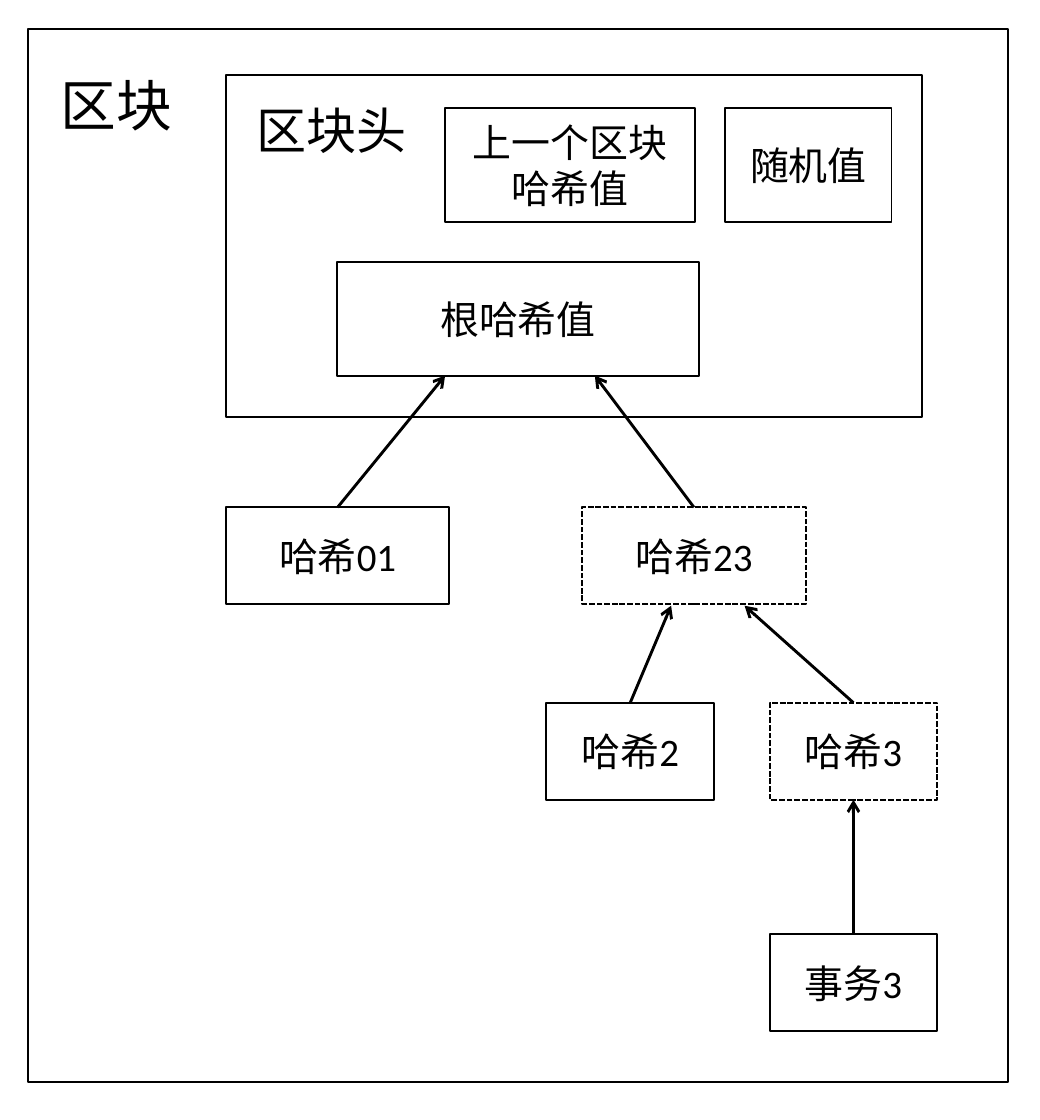
import pptx
import pptx.util
import pptx.dml.color
import pptx.enum.dml
import pptx.enum.shapes
import pptx.enum.text
import pptx.oxml.ns
from lxml import etree

# Square grid: one cell is a tenth of an inch
COLUMNS, ROWS = 75, 80.8
CELL = pptx.util.Inches(0.1)
COLORS = {"paper": "FFFFFF", "ink": "000000"}
FONT = "Calibri"
BOX_SIZE = 20.2
TOP, BOTTOM = 0, 2


def cells(count):
    return round(count * CELL)


def color(key):
    return pptx.dml.color.RGBColor.from_string(COLORS[key])


def apply_format(target, values):
    for attribute, value in values.items():
        setattr(target, attribute, value)


def add_box(slide, text, left, top, width, height, size=BOX_SIZE, dashed=False, label_inset=None):
    """Draw a box; label_inset (left, top) puts its text in the upper left corner."""
    box = slide.shapes.add_shape(
        pptx.enum.shapes.MSO_SHAPE.RECTANGLE,
        cells(left), cells(top), cells(width), cells(height))
    box.shadow.inherit = False
    box.fill.solid()
    box.fill.fore_color.rgb = color("paper")
    box.line.color.rgb = color("ink")
    box.line.width = pptx.util.Pt(1)
    if dashed:
        box.line.dash_style = pptx.enum.dml.MSO_LINE.SQUARE_DOT

    frame = box.text_frame
    frame_format = {"word_wrap": True, "vertical_anchor": pptx.enum.text.MSO_ANCHOR.MIDDLE}
    alignment = pptx.enum.text.PP_ALIGN.CENTER
    if label_inset:
        frame_format.update(
            vertical_anchor=pptx.enum.text.MSO_ANCHOR.TOP,
            margin_left=cells(label_inset[0]), margin_top=cells(label_inset[1]))
        alignment = pptx.enum.text.PP_ALIGN.LEFT
    apply_format(frame, frame_format)

    paragraph = frame.paragraphs[0]
    paragraph.alignment = alignment
    run = paragraph.add_run()
    run.text = text
    apply_format(run.font, {"name": FONT, "size": pptx.util.Pt(size)})
    run.font.color.rgb = color("ink")
    return box


def add_arrow(slide, child, end=None, parent=None):
    """Point from the top of child to a grid position or to the bottom of parent."""
    column, row = end or (0, 0)
    arrow = slide.shapes.add_connector(
        pptx.enum.shapes.MSO_CONNECTOR.STRAIGHT,
        child.left, child.top, cells(column), cells(row))
    arrow.begin_connect(child, TOP)
    if parent is not None:
        arrow.end_connect(parent, BOTTOM)
    arrow.line.color.rgb = color("ink")
    arrow.line.width = pptx.util.Pt(1.5)
    # Arrowhead and no shadow
    qn = pptx.oxml.ns.qn
    properties = arrow.line.color and arrow._element.spPr
    etree.SubElement(properties.find(qn("a:ln")), qn("a:tailEnd"), type="arrow")
    etree.SubElement(properties, qn("a:effectLst"))


def main():
    deck = pptx.Presentation()
    deck.slide_width, deck.slide_height = cells(COLUMNS), cells(ROWS)
    slide = deck.slides.add_slide(deck.slide_layouts[6])

    # Block and its header
    add_box(slide, "区块", 2, 2.1, 70.7, 76, size=28.9, label_inset=(2.4, 3))
    add_box(slide, "区块头", 16.3, 5.4, 50.2, 24.7, size=26, label_inset=(2.2, 1.8))
    header_row, header_height = 7.8, 8.2
    add_box(slide, "上一个区块哈希值", 32.1, header_row, 18, header_height)
    add_box(slide, "随机值", 52.3, header_row, 12, header_height)
    add_box(slide, "根哈希值", 24.3, 18.9, 26.1, header_height)

    # Hash tree: wide branches, narrow leaves
    branch_row, branch_width = 36.6, 16.1
    leaf_row, leaf_width, leaf_column = 50.7, 12.1, 55.5
    node_height = 7
    hash_01 = add_box(slide, "哈希01", 16.3, branch_row, branch_width, node_height)
    hash_23 = add_box(slide, "哈希23", 42, branch_row, branch_width, node_height, dashed=True)
    hash_2 = add_box(slide, "哈希2", 39.4, leaf_row, leaf_width, node_height)
    hash_3 = add_box(slide, "哈希3", leaf_column, leaf_row, leaf_width, node_height, dashed=True)
    transaction_3 = add_box(slide, "事务3", leaf_column, 67.4, leaf_width, node_height)

    # Arrows up the tree
    root_bottom, branch_bottom = 27.1, 43.7
    for child, end in (
        (hash_01, (32.1, root_bottom)),
        (hash_23, (42.9, root_bottom)),
        (hash_2, (48.4, branch_bottom)),
        (hash_3, (53.7, branch_bottom)),
    ):
        add_arrow(slide, child, end=end)
    add_arrow(slide, transaction_3, parent=hash_3)

    deck.save("out.pptx")


if __name__ == "__main__":
    main()
